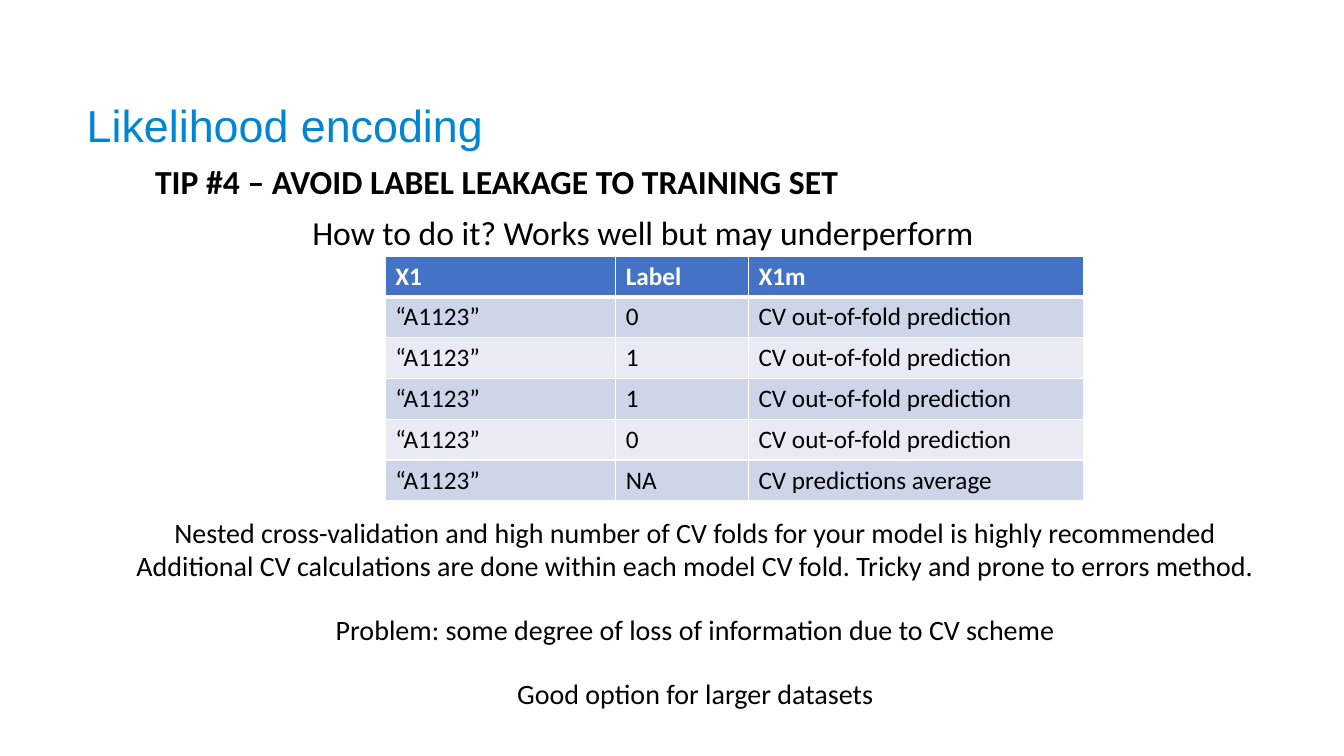
from lxml.etree import SubElement
from pptx import Presentation
from pptx.dml.color import RGBColor
from pptx.enum.text import MSO_ANCHOR, MSO_AUTO_SIZE, PP_ALIGN
from pptx.oxml.ns import qn
from pptx.util import Inches, Pt

SLIDE_WIDTH, SLIDE_HEIGHT = Inches(13.33), Inches(7.5)
BLACK, WHITE, TITLE_BLUE = "000000", "FFFFFF", "0085D2"
HEADER_FILL, BAND_FILLS = "4472C4", ("CFD5E9", "E8EBF4")

TITLE_BOX = (5.7, 12.27, 31.5, 8.4)
TIP_BOX = (10.8, 20.67, 83.57, 6.67)
QUESTION_BOX = (22.5, 27.33, 61.44, 6.67)
TABLE_BOX = (28.66, 33.87, 51.99, 32.4)
NOTES_BOX = (5.1, 67.47, 93.25, 32.53)

COLUMN_SHARES = (0.33, 0.19, 0.48)
ROWS = [
    ("X1", "Label", "X1m"),
    *[("“A1123”", label, "CV out-of-fold prediction") for label in "0110"],
    ("“A1123”", "NA", "CV predictions average"),
]
NOTES = [
    ("Nested cross-validation and high number of CV folds for your model is highly recommended", 0),
    ("Additional CV calculations are done within each model CV fold. Tricky and prone to errors method.", 0),
    ("Problem: some degree of loss of information due to CV scheme", 21.5),
    ("Good option for larger datasets", 21.5),
]


def color(value):
    """Turn a hex string into a colour."""
    return RGBColor.from_string(value)


def place(box):
    """Turn a box in percent of the slide into lengths."""
    sizes = (SLIDE_WIDTH, SLIDE_HEIGHT) * 2
    return [int(size * share / 100) for size, share in zip(sizes, box)]


def format_runs(paragraph, size, font_color=BLACK, bold=False, name="Calibri"):
    """Format every run of a paragraph."""
    for run in paragraph.runs:
        run.font.name = name
        run.font.size = Pt(size)
        run.font.bold = bold
        run.font.color.rgb = color(font_color)


def add_title(slide, box, text):
    """Move and format the title placeholder."""
    title = slide.shapes.title
    title.left, title.top, title.width, title.height = place(box)
    frame = title.text_frame
    frame.text = text
    frame.word_wrap = True
    frame.auto_size = MSO_AUTO_SIZE.NONE
    frame.vertical_anchor = MSO_ANCHOR.TOP
    frame.paragraphs[0].alignment = PP_ALIGN.LEFT
    format_runs(frame.paragraphs[0], 32, TITLE_BLUE, name="Arial")


def add_text(slide, box, lines, size, bold=False, alignment=PP_ALIGN.LEFT):
    """Add a text box of lines, each with its space before in points."""
    frame = slide.shapes.add_textbox(*place(box)).text_frame
    frame.word_wrap = True
    frame.text = "\n".join(text for text, gap in lines)
    for paragraph, (text, gap) in zip(frame.paragraphs, lines):
        paragraph.alignment = alignment
        paragraph.space_before = Pt(gap)
        format_runs(paragraph, size, bold=bold)


def set_borders(cell, widths):
    """Draw white cell borders with the given widths by side."""
    properties = cell._tc.get_or_add_tcPr()
    for side, width in widths.items():
        line = SubElement(properties, qn(f"a:ln{side}"), w=str(Pt(width)))
        fill = SubElement(line, qn("a:solidFill"))
        SubElement(fill, qn("a:srgbClr"), val=WHITE)


def add_encoding_table(slide, box, rows):
    """Add the banded table with a blue header row."""
    left, top, width, height = place(box)
    table = slide.shapes.add_table(len(rows), len(rows[0]), left, top, width, height).table
    for column, share in zip(table.columns, COLUMN_SHARES):
        column.width = int(width * share)
    for row_index, row in enumerate(rows):
        header = row_index == 0
        for column_index, text in enumerate(row):
            cell = table.cell(row_index, column_index)
            cell.text = text
            format_runs(cell.text_frame.paragraphs[0], 18, WHITE if header else BLACK, header)
            set_borders(cell, {"L": 1, "R": 1, "T": 3 if row_index == 1 else 1, "B": 3 if header else 1})
            cell.fill.solid()
            cell.fill.fore_color.rgb = color(HEADER_FILL if header else BAND_FILLS[(row_index - 1) % 2])


def add_encoding_slide(presentation):
    """Add the likelihood encoding slide."""
    slide = presentation.slides.add_slide(presentation.slide_layouts[5])
    add_title(slide, TITLE_BOX, "Likelihood encoding")
    add_text(slide, TIP_BOX, [("TIP #4 – AVOID LABEL LEAKAGE TO TRAINING SET", 0)], 24, bold=True)
    add_text(slide, QUESTION_BOX, [("How to do it? Works well but may underperform", 0)], 24)
    add_encoding_table(slide, TABLE_BOX, ROWS)
    add_text(slide, NOTES_BOX, NOTES, 20, alignment=PP_ALIGN.CENTER)


def main():
    """Build and save the presentation."""
    presentation = Presentation()
    presentation.slide_width, presentation.slide_height = SLIDE_WIDTH, SLIDE_HEIGHT
    add_encoding_slide(presentation)
    presentation.save("out.pptx")


if __name__ == "__main__":
    main()
